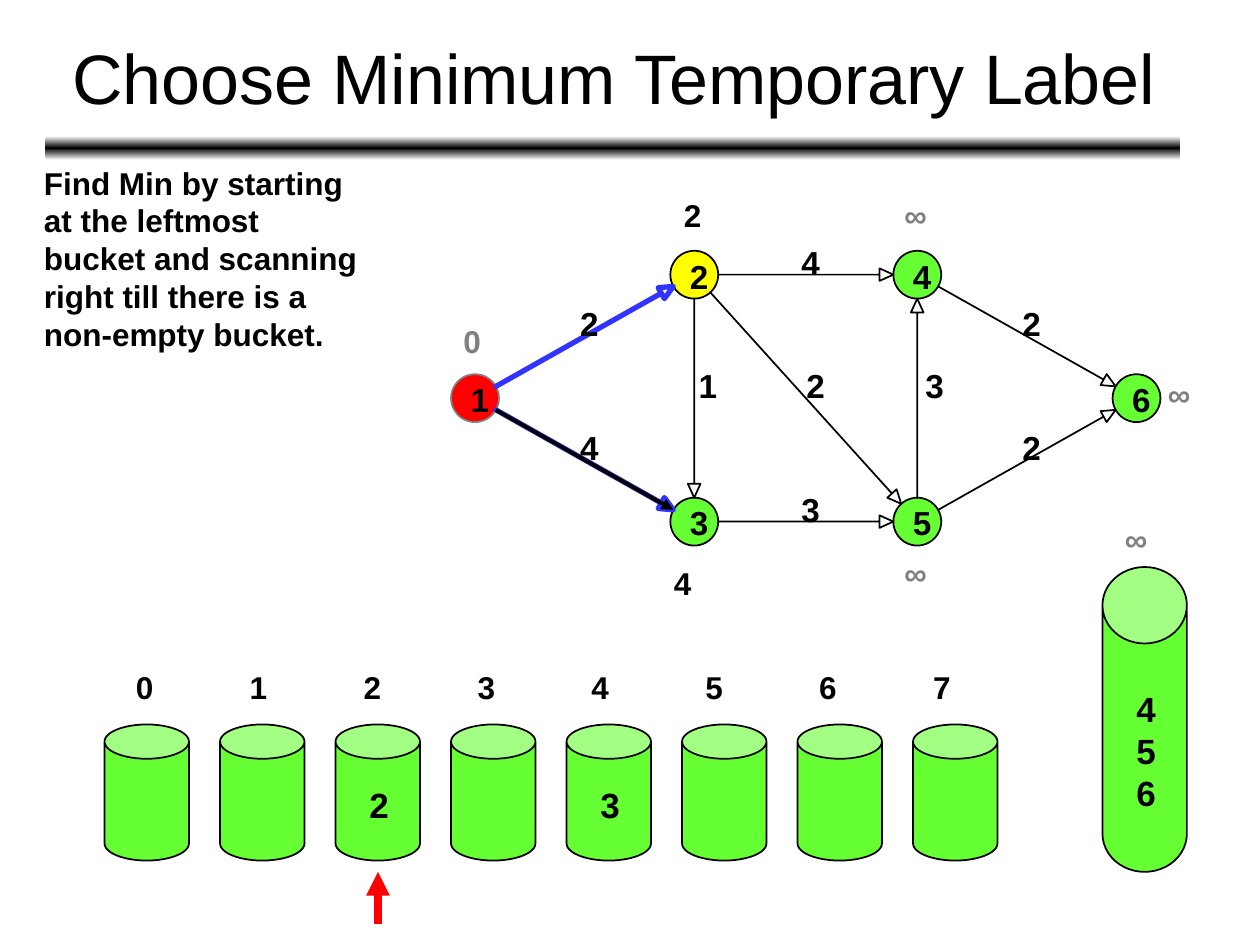
from copy import deepcopy
from math import hypot

from lxml import etree
from pptx import Presentation
from pptx.dml.color import RGBColor
from pptx.enum.shapes import MSO_CONNECTOR, MSO_SHAPE
from pptx.enum.text import MSO_ANCHOR, PP_ALIGN
from pptx.oxml.ns import qn
from pptx.util import Inches, Pt

STRAIGHT = MSO_CONNECTOR.STRAIGHT
CAN, OVAL, ROUNDED = MSO_SHAPE.CAN, MSO_SHAPE.OVAL, MSO_SHAPE.ROUNDED_RECTANGLE
TOP, MIDDLE = MSO_ANCHOR.TOP, MSO_ANCHOR.MIDDLE
LEFT, CENTER = PP_ALIGN.LEFT, PP_ALIGN.CENTER

BLACK, GRAY, WHITE = "000000", "808080", "FFFFFF"
GREEN, YELLOW, RED, BLUE = "66FF33", "FFFF00", "FF0000", "3333FF"

# Content
TITLE = "Choose Minimum Temporary Label"
EXPLANATION = ("Find Min by starting at the leftmost bucket and scanning "
               "right till there is a non-empty bucket.")

# node: center x, center y, fill, outline
NODES = {
    1: (3.77, 3.16, RED, GRAY),
    2: (5.51, 2.18, YELLOW, BLACK),
    3: (5.51, 4.14, GREEN, BLACK),
    4: (7.28, 2.18, GREEN, BLACK),
    5: (7.28, 4.14, GREEN, BLACK),
    6: (9.02, 3.16, GREEN, BLACK),
}
# from, to, cost, shift of the cost to the right, color, line width
EDGES = [
    (1, 2, "2", 0.04, BLUE, 3),
    (2, 4, "4", 0.04, BLACK, 1),
    (2, 5, "2", 0.08, BLACK, 1),
    (2, 3, "1", 0.11, BLACK, 1),
    (3, 5, "3", 0.04, BLACK, 1),
    (1, 3, "4", 0.04, BLUE, 3),
    (4, 6, "2", 0.04, BLACK, 1),
    (5, 4, "3", 0.14, BLACK, 1),
    (5, 6, "2", 0.04, BLACK, 1),
]
# distance label, left, top, color
DISTANCES = [
    ("0", 3.58, 2.51, GRAY),
    ("2", 5.33, 1.51, BLACK),
    ("4", 5.25, 4.43, BLACK),
    ("∞", 7.08, 1.51, GRAY),
    ("∞", 7.08, 4.35, GRAY),
    ("∞", 9.17, 2.93, GRAY),
    ("∞", 8.83, 4.08, GRAY),
]
BUCKET_COUNT = 8
BUCKET_CONTENTS = {2: "2", 4: "3"}
INFINITE_BUCKET = ["4", "5", "6"]

# Layout
NODE_SIZE, NODE_RADIUS = 0.38, 0.19
HEAD_LENGTH, HEAD_HALF = 0.11, 0.05
BUCKET_LEFT, BUCKET_TOP, BUCKET_WIDTH, BUCKET_HEIGHT = 0.83, 5.75, 0.67, 1.08
BUCKET_STEP = 11 / 12
LABEL_LEFT, LABEL_TOP, LABEL_STEP = 0.98, 5.25, 0.904

presentation = Presentation()
presentation.slide_width, presentation.slide_height = Inches(10), Inches(7.5)
slide = presentation.slides.add_slide(presentation.slide_layouts[6])


def color_of(value):
    return RGBColor.from_string(value)


def add_text(text, left, top, width, height, size, color=BLACK, bold=True,
             align=LEFT, anchor=TOP):
    box = slide.shapes.add_textbox(
        Inches(left), Inches(top), Inches(width), Inches(height))
    frame = box.text_frame
    frame.word_wrap = True
    frame.vertical_anchor = anchor
    paragraph = frame.paragraphs[0]
    paragraph.alignment = align
    run = paragraph.add_run()
    run.text = text
    run.font.name, run.font.size, run.font.bold = "Arial", Pt(size), bold
    run.font.color.rgb = color_of(color)
    return box


def add_digit(text, center_x, center_y):
    frame = add_text(text, center_x - 0.075, center_y - 0.16, 0.15, 0.32, 19).text_frame
    frame.word_wrap = False
    frame.margin_left = frame.margin_right = 0
    frame.margin_top = frame.margin_bottom = 0


def add_shape(kind, left, top, width, height, fill, outline=BLACK):
    shape = slide.shapes.add_shape(
        kind, Inches(left), Inches(top), Inches(width), Inches(height))
    shape.shadow.inherit = False
    shape.fill.solid()
    shape.fill.fore_color.rgb = color_of(fill)
    shape.line.color.rgb = color_of(outline)
    shape.line.width = Pt(1)
    return shape


def add_bucket(left, top, height, cap):
    bucket = add_shape(CAN, left, top, BUCKET_WIDTH, height, GREEN)
    bucket.adjustments[0] = cap


def add_arrow(start, end, color, width):
    arrow = slide.shapes.add_connector(STRAIGHT, *map(Inches, start + end))
    arrow.line.color.rgb = color_of(color)
    arrow.line.width = Pt(width)
    line = arrow.line._get_or_add_ln()
    etree.SubElement(line, qn("a:tailEnd"), type="triangle")
    etree.SubElement(arrow._element.spPr, qn("a:effectLst"))


def trimmed(first, second):
    """Ends of an edge on the rims of its nodes, and its unit vector."""
    (x1, y1), (x2, y2) = NODES[first][:2], NODES[second][:2]
    length = hypot(x2 - x1, y2 - y1)
    ux, uy = (x2 - x1) / length, (y2 - y1) / length
    start = (x1 + ux * NODE_RADIUS, y1 + uy * NODE_RADIUS)
    tip = (x2 - ux * NODE_RADIUS, y2 - uy * NODE_RADIUS)
    return start, tip, (ux, uy)


def add_edge(first, second, color, width):
    start, tip, (ux, uy) = trimmed(first, second)
    neck = (tip[0] - ux * HEAD_LENGTH, tip[1] - uy * HEAD_LENGTH)
    wings = [(neck[0] - side * uy, neck[1] + side * ux)
             for side in (HEAD_HALF, -HEAD_HALF)]
    points = [start, neck, wings[0], tip, wings[1], neck]
    corners = [(Inches(x), Inches(y)) for x, y in points]
    builder = slide.shapes.build_freeform(*corners[0])
    builder.add_line_segments(corners[1:], close=True)
    edge = builder.convert_to_shape()
    edge.shadow.inherit = False
    edge.fill.background()
    edge.line.color.rgb = color_of(color)
    edge.line.width = Pt(width)


# Title and the shaded bar below it
bar = add_shape(ROUNDED, 0.36, 1.08, 9.01, 0.19, BLACK)
bar.line.fill.background()
bar.fill.gradient()
bar.fill.gradient_angle = 90
stop_list = bar.fill.gradient_stops[0]._gs.getparent()
stop_list.append(deepcopy(stop_list[0]))
for stop, position, shade in zip(bar.fill.gradient_stops, (0, 0.5, 1), (WHITE, BLACK, WHITE)):
    stop.position = position
    stop.color.rgb = color_of(shade)
add_text(TITLE, 0.37, 0.11, 9, 0.99, 40, bold=False, align=CENTER, anchor=MIDDLE)
add_text(EXPLANATION, 0.25, 1.25, 2.75, 2.9, 18)

# Numbered buckets
for number in range(BUCKET_COUNT):
    left = BUCKET_LEFT + number * BUCKET_STEP
    add_bucket(left, BUCKET_TOP, BUCKET_HEIGHT, 0.406)
    add_text(str(number), LABEL_LEFT + number * LABEL_STEP, LABEL_TOP, 0.5, 0.5, 18)
    if number in BUCKET_CONTENTS:
        add_text(BUCKET_CONTENTS[number], left + 0.17, 6.17, 0.33, 0.43, 20)

# Bucket for infinite labels
add_bucket(8.75, 4.5, 2.42, 0.906)
for row, node in enumerate(INFINITE_BUCKET):
    add_text(node, 8.92, 5.41 + row / 3, 0.33, 0.43, 20)

# Pointer to the first non-empty bucket
add_arrow((3, 7.33), (3, 6.92), RED, 4.5)

# Network
for number, (x, y, fill, outline) in NODES.items():
    add_shape(OVAL, x - NODE_RADIUS, y - NODE_RADIUS, NODE_SIZE, NODE_SIZE, fill, outline)
    add_digit(str(number), x + 0.04, y + 0.01)
for first, second, cost, shift, color, width in EDGES:
    add_edge(first, second, color, width)
    (x1, y1), (x2, y2) = NODES[first][:2], NODES[second][:2]
    add_digit(cost, (x1 + x2) / 2 + shift, (y1 + y2) / 2 - 0.1)
for text, left, top, color in DISTANCES:
    add_text(text, left, top, 0.45, 0.5, 18, color)

# Edge being scanned
scan_start, scan_end, _ = trimmed(1, 3)
add_arrow(scan_start, scan_end, BLACK, 2.25)

presentation.save("out.pptx")
